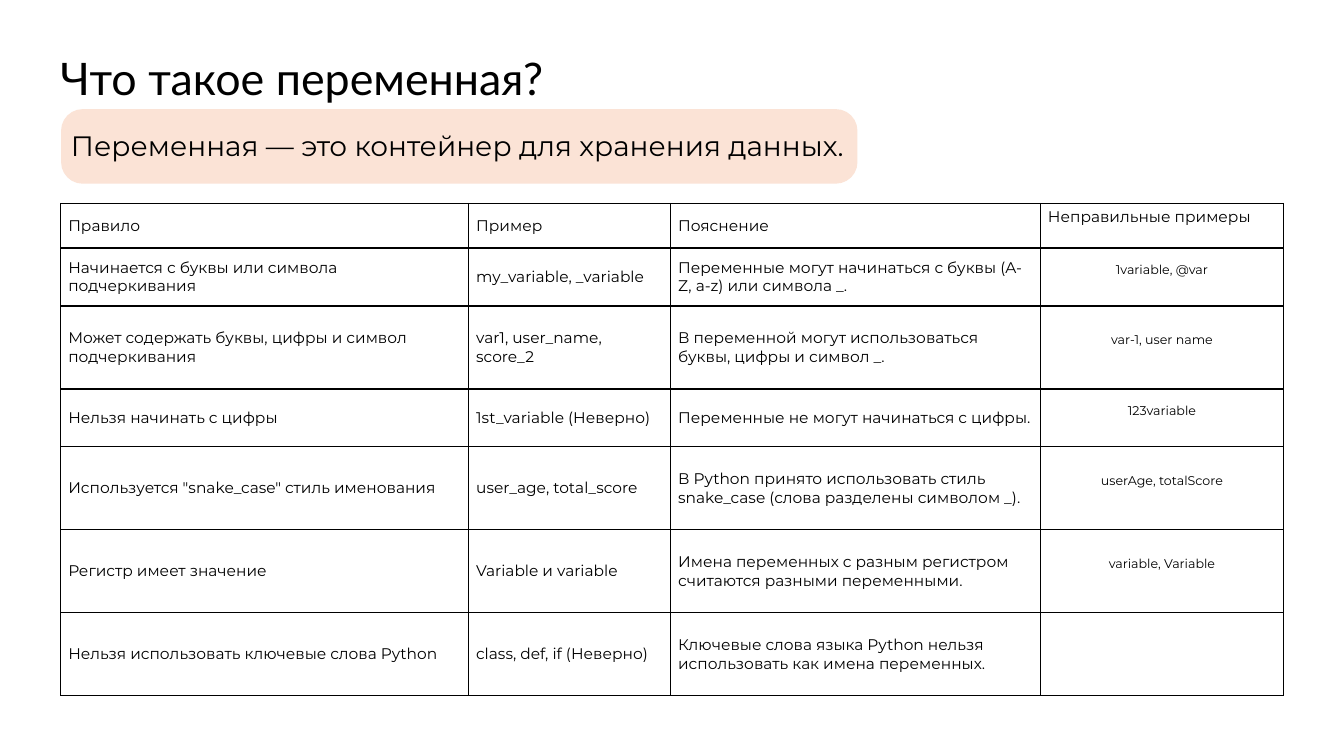
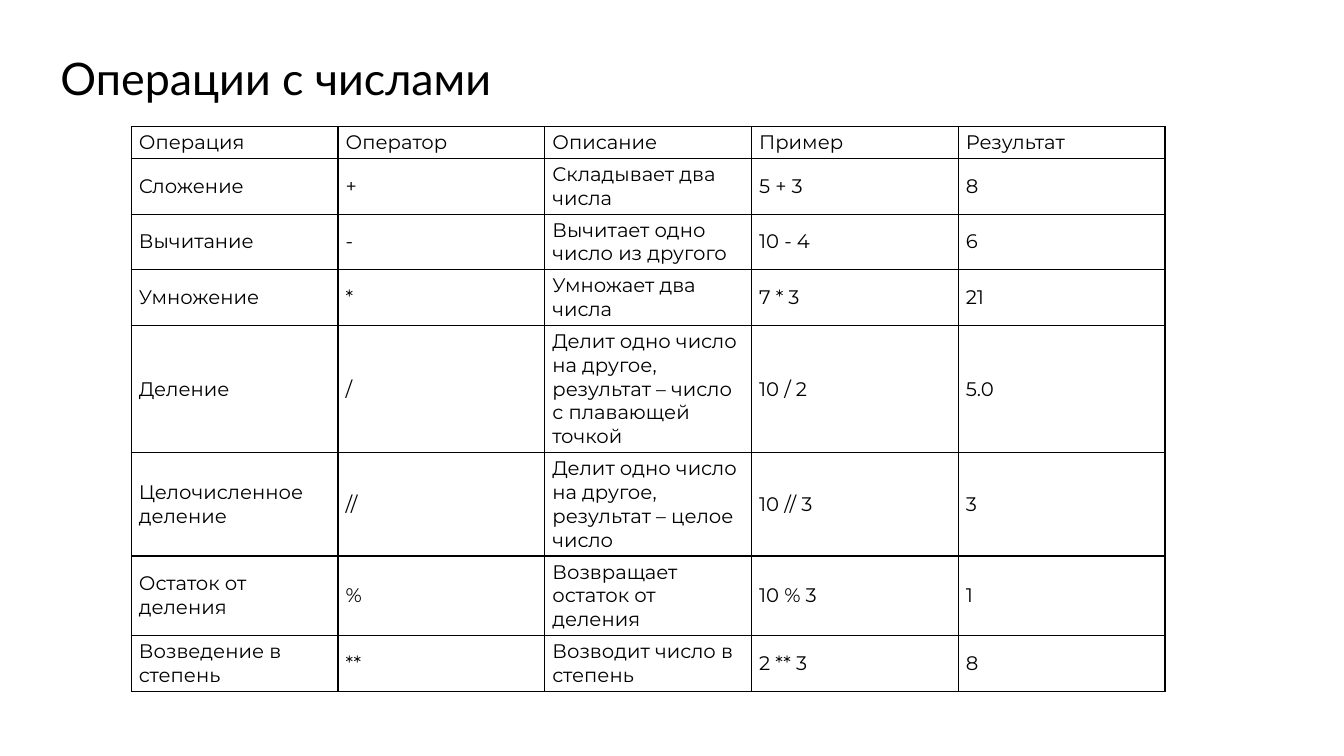
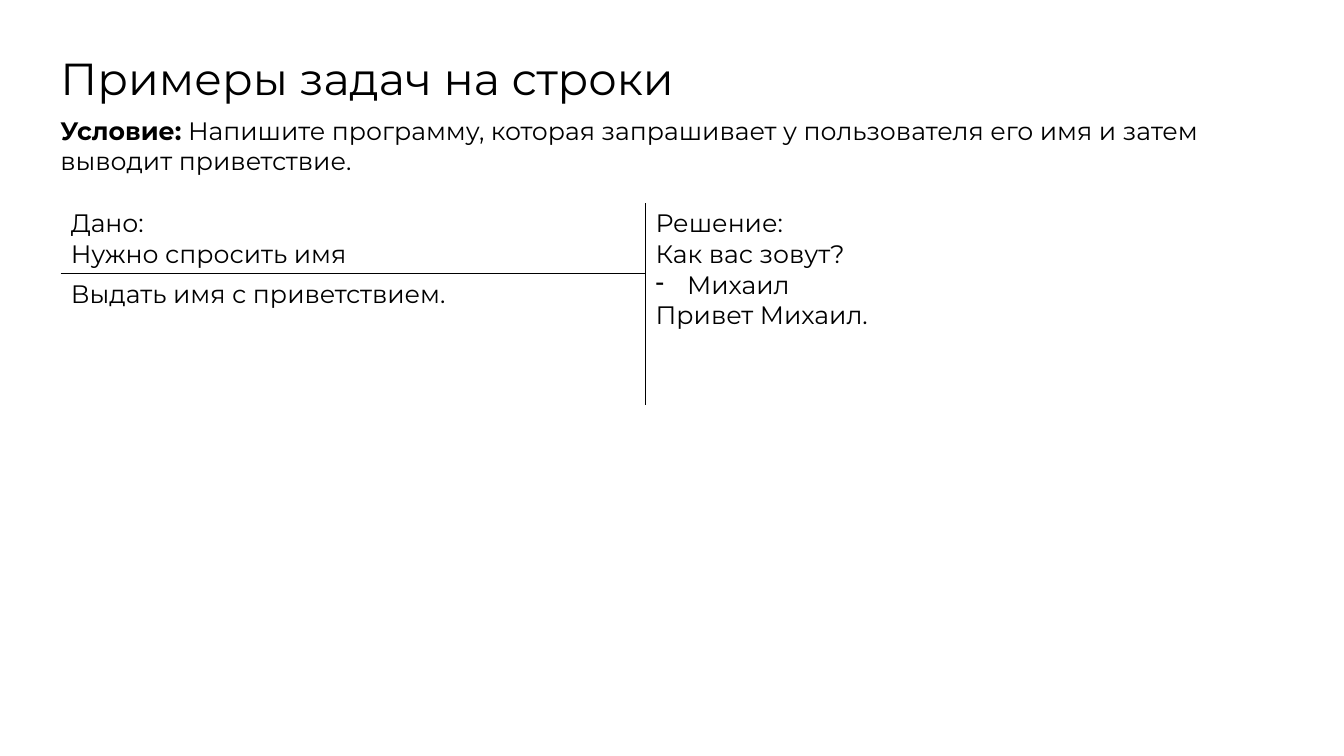
from lxml.etree import SubElement
from pptx import Presentation
from pptx.dml.color import RGBColor
from pptx.enum.shapes import MSO_SHAPE
from pptx.enum.text import MSO_ANCHOR, PP_ALIGN
from pptx.oxml.ns import qn
from pptx.util import Cm, Pt

COLORS = {"text": "000000", "border": "000000", "definition": "FBE3D6"}
NO_STYLE_NO_GRID = "{2D5ABB26-0587-4C30-8999-92F81FD0307C}"
BODY_FONT = "Montserrat"
ALL_SIDES = "LRTB"


def write(p, text, size, **fmt):
    """Add a run to a paragraph in the body font unless fmt says otherwise."""
    r = p.add_run()
    r.text = text
    for name, value in {"name": BODY_FONT, "size": Pt(size), **fmt}.items():
        setattr(r.font, name, value)
    r.font.color.rgb = RGBColor.from_string(COLORS["text"])


def add_grid(s, left, top, widths, heights, texts, size, sides, **cell_fmt):
    """Add an unfilled table; sides(row, col) names the borders of a cell."""
    tbl = s.shapes.add_table(len(heights), len(widths), Cm(left), Cm(top),
                             Cm(sum(widths)), Cm(sum(heights))).table
    tbl.first_row = tbl.horz_banding = False
    tbl._tbl.tblPr.find(qn("a:tableStyleId")).text = NO_STYLE_NO_GRID
    for col, width in zip(tbl.columns, widths):
        col.width = Cm(width)
    for row, height in zip(tbl.rows, heights):
        row.height = Cm(height)
    for i, row in enumerate(texts):
        for j, text in enumerate(row):
            cell = tbl.cell(i, j)
            for name, value in cell_fmt.items():
                setattr(cell, name, value)
            tcPr = cell._tc.get_or_add_tcPr()
            for side in sides(i, j):
                ln = SubElement(tcPr, qn(f"a:ln{side}"), w=str(Pt(1)))
                fill = SubElement(ln, qn("a:solidFill"))
                SubElement(fill, qn("a:srgbClr"), val=COLORS["border"])
            cell.fill.background()
            tf = cell.text_frame
            for k, line in enumerate(text.splitlines()):
                p = tf.add_paragraph() if k else tf.paragraphs[0]
                write(p, line, size)
    return tbl


prs = Presentation()
prs.slide_width, prs.slide_height = Cm(33.87), Cm(19.05)

# Titles
TITLES = [
    ("Что такое переменная?", "Lato"),
    ("Операции с числами", "Lato"),
    ("Примеры задач на строки", BODY_FONT),
]
slides = []
for text, font in TITLES:
    s = prs.slides.add_slide(prs.slide_layouts[5])
    title = s.shapes.title
    title.left, title.top, title.width, title.height = Cm(1.27), Cm(1.14), Cm(16.94), Cm(1.63)
    tf = title.text_frame
    tf.vertical_anchor = MSO_ANCHOR.TOP
    p = tf.paragraphs[0]
    p.alignment = PP_ALIGN.LEFT
    write(p, text, 32, name=font)
    slides.append(s)
variables, operations, tasks = slides

framed = {
    "sides": lambda i, j: ALL_SIDES,
    "vertical_anchor": MSO_ANCHOR.MIDDLE,
    "margin_left": Cm(0.19), "margin_right": Cm(0.19),
    "margin_top": Cm(0.1), "margin_bottom": Cm(0.1),
}

# Variables: definition and naming rules
sp = variables.shapes.add_shape(MSO_SHAPE.ROUNDED_RECTANGLE,
                                Cm(1.54), Cm(2.75), Cm(20.07), Cm(1.88))
sp.adjustments[0] = 0.29
sp.shadow.inherit = False
sp.fill.solid()
sp.fill.fore_color.rgb = RGBColor.from_string(COLORS["definition"])
sp.line.fill.background()

tf = variables.shapes.add_textbox(Cm(1.54), Cm(3.12), Cm(20.32), Cm(1.12)).text_frame
tf.word_wrap = True
write(tf.paragraphs[0], "Переменная — это контейнер для хранения данных.", 20)

RULES = [
    ("Правило", "Пример", "Пояснение", "Неправильные примеры"),
    ("Начинается с буквы или символа подчеркивания", "my_variable, _variable",
     "Переменные могут начинаться с буквы (A-Z, a-z) или символа _.", "1variable, @var"),
    ("Может содержать буквы, цифры и символ подчеркивания", "var1, user_name, score_2",
     "В переменной могут использоваться буквы, цифры и символ _.", "var-1, user name"),
    ("Нельзя начинать с цифры", "1st_variable (Неверно)",
     "Переменные не могут начинаться с цифры.", "123variable"),
    ('Используется "snake_case" стиль именования', "user_age, total_score",
     "В Python принято использовать стиль snake_case (слова разделены символом _).",
     "userAge, totalScore"),
    ("Регистр имеет значение", "Variable и variable",
     "Имена переменных с разным регистром считаются разными переменными.",
     "variable, Variable"),
    ("Нельзя использовать ключевые слова Python", "class, def, if (Неверно)",
     "Ключевые слова языка Python нельзя использовать как имена переменных.", ""),
]
tbl = add_grid(variables, 1.53, 5.13, [10.28, 5.09, 9.32, 6.12],
               [1.12, 1.46, 2.09, 1.46, 2.09, 2.09, 2.09], RULES, 11, **framed)
tbl.cell(0, 3).margin_bottom = Cm(0.55)
for i in range(1, len(RULES) - 1):
    cell = tbl.cell(i, 3)
    cell.margin_left = cell.margin_right = cell.margin_top = Cm(0.03)
    cell.margin_bottom = Cm(0.4)
    p = cell.text_frame.paragraphs[0]
    p.alignment = PP_ALIGN.CENTER
    p.runs[0].font.size = Pt(9)

# Operations with numbers
OPERATIONS = [
    ("Операция", "Оператор", "Описание", "Пример", "Результат"),
    ("Сложение", "+", "Складывает два числа", "5 + 3", "8"),
    ("Вычитание", "-", "Вычитает одно число из другого", "10 - 4", "6"),
    ("Умножение", "*", "Умножает два числа", "7 * 3", "21"),
    ("Деление", "/", "Делит одно число на другое, результат – число с плавающей точкой",
     "10 / 2", "5.0"),
    ("Целочисленное деление", "//", "Делит одно число на другое, результат – целое число",
     "10 // 3", "3"),
    ("Остаток от деления", "%", "Возвращает остаток от деления", "10 % 3", "1"),
    ("Возведение в степень", "**", "Возводит число в степень", "2 ** 3", "8"),
]
add_grid(operations, 3.31, 3.19, [5.21] * 5,
         [0.78, 1.38, 1.38, 1.38, 3.17, 2.55, 1.98, 1.38], OPERATIONS, 14, **framed)

# String task: condition, given and solution
tf = tasks.shapes.add_textbox(Cm(1.27), Cm(2.77), Cm(31.06), Cm(1.8)).text_frame
tf.word_wrap = True
p = tf.paragraphs[0]
write(p, "Условие:", 18, bold=True)
write(p, " Напишите программу, которая запрашивает у пользователя его имя"
         " и затем выводит приветствие.", 18)

TASK = [
    ("Дано:\nНужно спросить имя", "Решение:\nКак вас зовут?\nМихаил\nПривет Михаил."),
    ("Выдать имя с приветствием.", ""),
]
TASK_SIDES = [("RB", "L"), ("RT", "L")]
tbl = add_grid(tasks, 1.53, 5.12, [14.74] * 2, [1.76, 3.31], TASK, 18,
               lambda i, j: TASK_SIDES[i][j])
solution = tbl.cell(0, 1)
solution.merge(tbl.cell(1, 1))
pPr = solution.text_frame.paragraphs[2]._p.get_or_add_pPr()
pPr.set("marL", str(Cm(0.79)))
pPr.set("indent", str(-Cm(0.79)))
SubElement(pPr, qn("a:buChar"), char="-")

prs.save("out.pptx")
